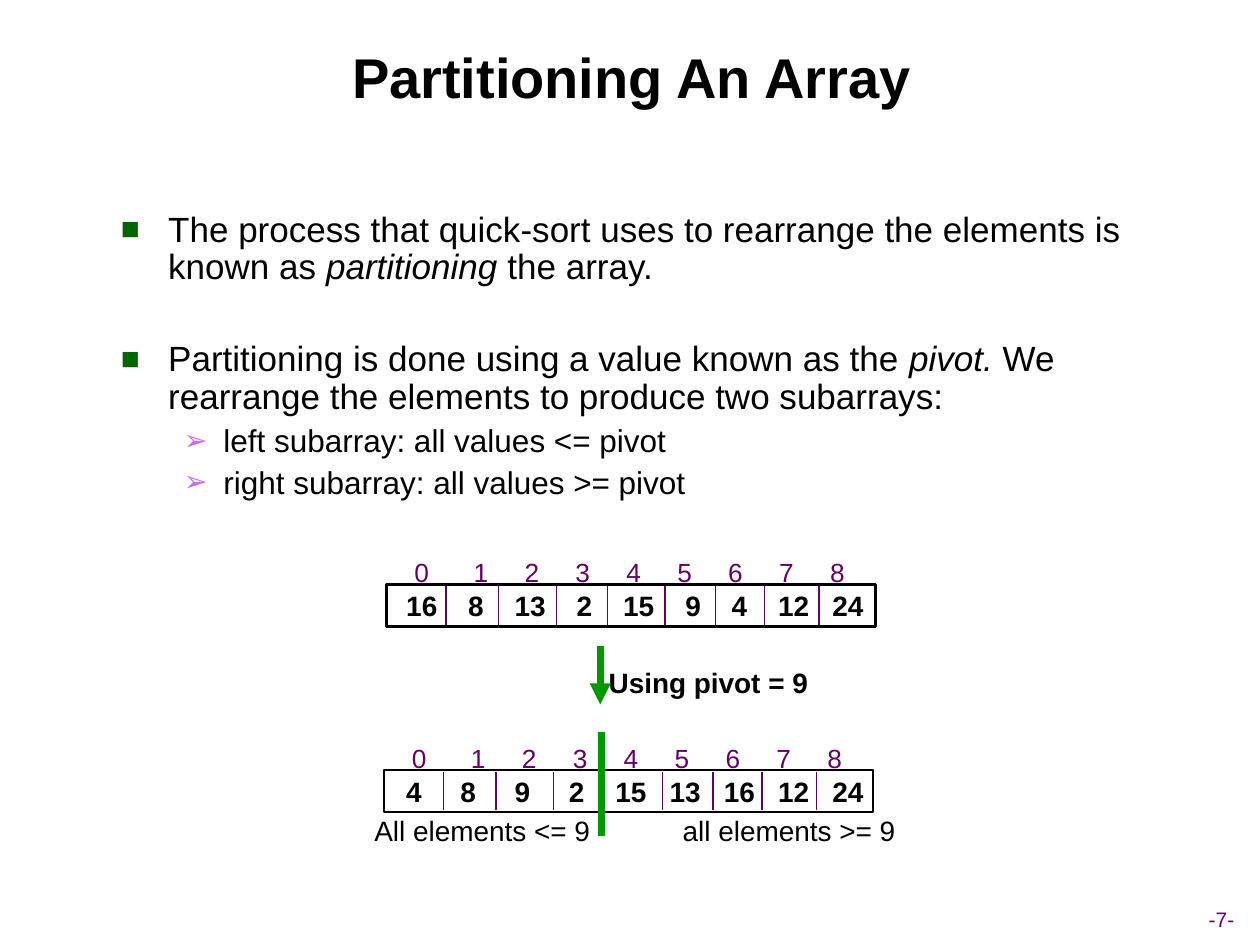
from dataclasses import dataclass
from itertools import accumulate
from lxml import etree
from pptx import Presentation
from pptx.dml.color import RGBColor as RGB
from pptx.enum.shapes import MSO_CONNECTOR as Connector, MSO_SHAPE as Shape
from pptx.enum.text import MSO_ANCHOR as Anchor, MSO_AUTO_SIZE as AutoSize, PP_ALIGN as Align
from pptx.oxml.ns import qn
from pptx.util import Pt


@dataclass
class Theme:
    font: str = "Arial"
    ink: RGB = RGB(0, 0, 0)
    purple: RGB = RGB(0x66, 0, 0x66)
    green: RGB = RGB(0, 0x99, 0)
    bullet_green: str = "006600"
    bullet_violet: str = "CC66FF"
    title: int = 32
    body: int = 20
    sub: int = 18
    value: int = 16
    index: int = 15
    page: int = 12


theme = Theme()
prs = Presentation()
prs.slide_width, prs.slide_height = Pt(720), Pt(540)
slide = prs.slides.add_slide(prs.slide_layouts[1])
shapes = slide.shapes


def write(shape, text, size, color, bold=False, tabs=()):
    """Fill a tight, unwrapped text frame; tabs are centred column positions."""
    frame = shape.text_frame
    frame.word_wrap = False
    frame.vertical_anchor = Anchor.MIDDLE
    frame.margin_left = frame.margin_right = frame.margin_top = frame.margin_bottom = 0
    paragraph = frame.paragraphs[0]
    paragraph.alignment = Align.LEFT if tabs else Align.CENTER
    if tabs:
        frame.word_wrap = True
        stops = etree.SubElement(paragraph._p.get_or_add_pPr(), qn("a:tabLst"))
        for stop in tabs:
            etree.SubElement(stops, qn("a:tab"), pos=str(Pt(stop)), algn="ctr")
    run = paragraph.add_run()
    run.text = text
    run.font.name, run.font.size, run.font.bold = theme.font, Pt(size), bold
    run.font.color.rgb = color


def rule(x1, y1, x2, y2, color, width):
    line = shapes.add_connector(Connector.STRAIGHT, Pt(x1), Pt(y1), Pt(x2), Pt(y2))
    line.line.color.rgb, line.line.width = color, Pt(width)
    etree.SubElement(line._element.spPr, qn("a:effectLst"))
    return line


# Title
title = shapes.title
title.left, title.top, title.width, title.height = Pt(27.4), Pt(9.4), Pt(667.4), Pt(68.4)
title.text_frame.vertical_anchor = Anchor.MIDDLE
heading = title.text_frame.paragraphs[0]
heading.alignment = Align.CENTER
heading_run = heading.add_run()
heading_run.text = "Partitioning An Array"
heading_run.font.name, heading_run.font.size = theme.font, Pt(theme.title)
heading_run.font.bold, heading_run.font.color.rgb = True, theme.ink

# Bulleted text: level, space before, runs of (text, italic)
points = [
    (0, 0, [("The process that quick-sort uses to rearrange the elements is known as ", False),
            ("partitioning ", True), ("the array.", False)]),
    (0, 31, [("Partitioning is done using a value known as the ", False), ("pivot. ", True),
             ("We rearrange the elements to produce two subarrays:", False)]),
    (1, 4.5, [("left subarray: all values <= pivot", False)]),
    (1, 4.5, [("right subarray: all values >= pivot", False)]),
]
# Per level: left margin, hanging indent, bullet, bullet colour, type size
levels = [(27, 27, "■", theme.bullet_green, theme.body),
          (58.5, 22.5, "➢", theme.bullet_violet, theme.sub)]
body = shapes.placeholders[1]
body.left, body.top, body.width, body.height = Pt(61.9), Pt(117.4), Pt(603.4), Pt(180)
body.text_frame.auto_size = AutoSize.NONE
for number, (level, gap, runs) in enumerate(points):
    margin, hang, mark, mark_color, size = levels[level]
    point = body.text_frame.add_paragraph() if number else body.text_frame.paragraphs[0]
    point.level, point.line_spacing, point.space_before = level, 0.9, Pt(gap)
    props = point._p.get_or_add_pPr()
    props.set("marL", str(Pt(margin)))
    props.set("indent", str(Pt(-hang)))
    etree.SubElement(etree.SubElement(props, qn("a:buClr")), qn("a:srgbClr"), val=mark_color)
    etree.SubElement(props, qn("a:buSzPct"), val="90000")
    etree.SubElement(props, qn("a:buFont"), typeface=theme.font)
    etree.SubElement(props, qn("a:buChar"), char=mark)
    for text, italic in runs:
        run = point.add_run()
        run.text = text
        run.font.name, run.font.size, run.font.italic = theme.font, Pt(size), italic
        run.font.color.rgb = theme.ink

# Arrays before and after: left, top, values, first value centre, step into column 6
arrays = [(221, 334, [16, 8, 13, 2, 15, 9, 4, 12, 24], 20, 26.5),
          (219.5, 440, [4, 8, 9, 2, 15, 13, 16, 12, 24], 17, 31)]
array_width, array_height = 279.4, 24
dividers = [33.8, 64, 97, 126, 159, 188, 216, 247]
index_centres = [20] + [53.8 + 29.1 * i for i in range(8)]
for left, top, values, first, step in arrays:
    value_centres = list(accumulate([first] + [31] * 5 + [step] + [31] * 2))
    array = shapes.add_shape(Shape.RECTANGLE, Pt(left), Pt(top), Pt(array_width), Pt(array_height))
    array.shadow.inherit = False
    array.fill.background()
    array.line.color.rgb, array.line.width = theme.ink, Pt(1.5)
    write(array, "".join(f"\t{value}" for value in values), theme.value, theme.ink, True, value_centres)
    for offset in dividers:
        rule(left + offset, top + 1, left + offset, top + 23, theme.purple, 0.75)
    indices = shapes.add_textbox(Pt(left), Pt(top - 18), Pt(array_width), Pt(22))
    write(indices, "".join(f"\t{i}" for i in range(len(values))), theme.index, theme.purple,
          tabs=index_centres)

# Labels: text, centre x, centre y, width, size, colour, bold
labels = [("Using pivot = 9", 404.8, 389.7, 120, theme.value, theme.ink, True),
          ("All elements <= 9", 275.6, 474.3, 130, theme.value, theme.ink, False),
          ("all elements >= 9", 450.9, 474.3, 130, theme.value, theme.ink, False),
          ("-7-", 698, 525, 40, theme.page, theme.purple, False)]
for text, x, y, width, size, color, bold in labels:
    label = shapes.add_textbox(Pt(x - width / 2), Pt(y - 10), Pt(width), Pt(20))
    write(label, text, size, color, bold)

# Pivot arrow and split line
arrow = rule(343, 369.4, 343, 402.5, theme.green, 4)
etree.SubElement(arrow.line._get_or_add_ln(), qn("a:tailEnd"), type="triangle")
rule(343.5, 478, 343.5, 418.3, theme.green, 4)

prs.save("out.pptx")
